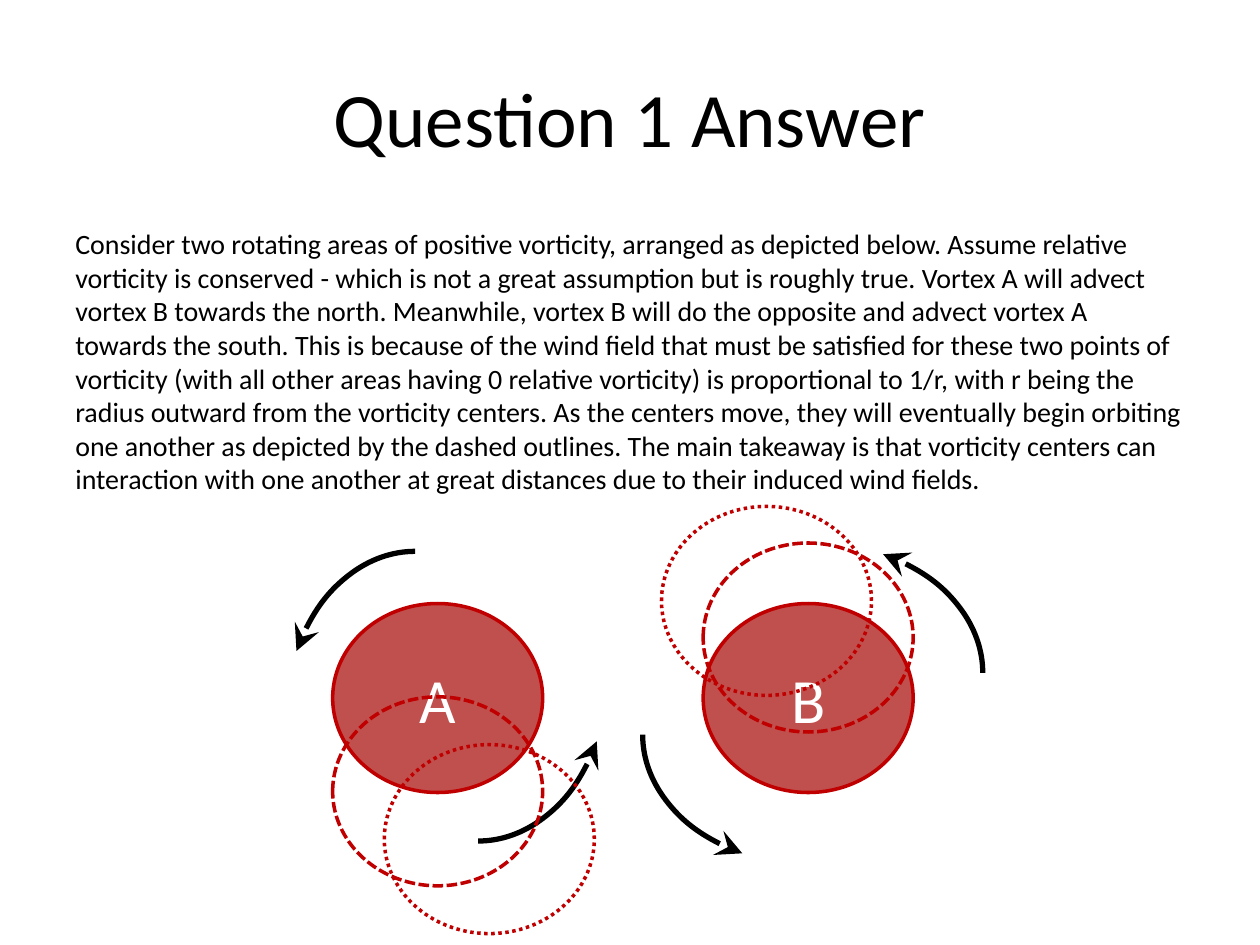
"""Build the slide on how two positive vortices orbit one another."""
import pptx
import pptx.dml.color
import pptx.enum.dml
import pptx.enum.shapes
import pptx.enum.text
import pptx.oxml
import pptx.oxml.ns
import pptx.util

Pt = pptx.util.Pt
RGBColor = pptx.dml.color.RGBColor
Dash = pptx.enum.dml.MSO_LINE
Shape = pptx.enum.shapes.MSO_SHAPE
Align = pptx.enum.text.PP_ALIGN
Anchor = pptx.enum.text.MSO_ANCHOR

BLACK = RGBColor(0x00, 0x00, 0x00)
WHITE = RGBColor(0xFF, 0xFF, 0xFF)
VORTEX_FILL = RGBColor(0xC0, 0x50, 0x4D)
VORTEX_EDGE = RGBColor(0xC0, 0x00, 0x00)

VORTEX_SIZE = (120, 108)
WIND_SIZE = (198, 149.8)
WIND_START = 181.08

EXPLANATION = (
    "Consider two rotating areas of positive vorticity, arranged as depicted below. "
    "Assume relative vorticity is conserved - which is not a great assumption but is "
    "roughly true. Vortex A will advect vortex B towards the north. Meanwhile, vortex B "
    "will do the opposite and advect vortex A towards the south. This is because of the "
    "wind field that must be satisfied for these two points of vorticity (with all other "
    "areas having 0 relative vorticity) is proportional to 1/r, with r being the radius "
    "outward from the vorticity centers. As the centers move, they will eventually begin "
    "orbiting one another as depicted by the dashed outlines. The main takeaway is that "
    "vorticity centers can interaction with one another at great distances due to their "
    "induced wind fields."
)


class VortexSlide:
    """Hold the style and the current slide, and draw each kind of element."""

    font_name = "Calibri"

    def __init__(self, slide):
        self.slide = slide

    def set_words(self, shape, words, size, color, align, anchor):
        """Fill a shape with one formatted paragraph."""
        frame = shape.text_frame
        for name, value in {"word_wrap": True, "vertical_anchor": anchor}.items():
            setattr(frame, name, value)
        paragraph = frame.paragraphs[0]
        paragraph.text = words
        paragraph.alignment = align
        for name, value in {"name": self.font_name, "size": Pt(size)}.items():
            setattr(paragraph.font, name, value)
        paragraph.font.color.rgb = color

    def text(self, words, box, size, align, anchor):
        """Add a text box."""
        holder = self.slide.shapes.add_textbox(*map(Pt, box))
        self.set_words(holder, words, size, BLACK, align, anchor)

    def outline(self, kind, corner, size, color, width):
        """Add an unfilled preset shape."""
        shape = self.slide.shapes.add_shape(kind, *map(Pt, (*corner, *size)))
        shape.shadow.inherit = False
        shape.fill.background()
        shape.line.color.rgb = color
        shape.line.width = Pt(width)
        return shape

    def vortex(self, letter, corner):
        """Add a filled, lettered vortex."""
        vortex = self.outline(Shape.OVAL, corner, VORTEX_SIZE, VORTEX_EDGE, 2)
        vortex.fill.solid()
        vortex.fill.fore_color.rgb = VORTEX_FILL
        self.set_words(vortex, letter, 36, WHITE, Align.CENTER, Anchor.MIDDLE)

    def later_position(self, corner, dash):
        """Add the dashed outline of a vortex that has moved."""
        ring = self.outline(Shape.OVAL, corner, VORTEX_SIZE, VORTEX_EDGE, 2)
        ring.line.dash_style = dash

    def wind(self, corner, rotation):
        """Add a curved wind arrow."""
        arc = self.outline(Shape.ARC, corner, WIND_SIZE, BLACK, 3)
        arc.rotation = rotation
        arc.adjustments[0] = WIND_START
        arc.adjustments[1] = 0
        head = pptx.oxml.parse_xml(
            f'<a:headEnd {pptx.oxml.ns.nsdecls("a")} type="stealth" w="lg" len="lg"/>'
        )
        arc.element.spPr.find(pptx.oxml.ns.qn("a:ln")).append(head)


def main():
    """Draw the slide and save it."""
    deck = pptx.Presentation()
    for name, value in {"slide_width": Pt(720), "slide_height": Pt(540)}.items():
        setattr(deck, name, value)
    page = VortexSlide(deck.slides.add_slide(deck.slide_layouts[6]))

    page.text("Question 1 Answer", (36, 21.6, 648, 90), 44, Align.CENTER, Anchor.MIDDLE)
    page.text(EXPLANATION, (36, 126, 648, 356.4), 16, Align.LEFT, Anchor.TOP)

    vortices = {
        "B": ((401.8, 344.9), {(363.6, 309.6): 0, (367.2, 344.9): 180}),
        "A": ((190.1, 344.9), {(138.2, 339.1): 270, (174.2, 306.7): 90}),
    }
    for letter, (corner, winds) in vortices.items():
        page.vortex(letter, corner)
        for wind_corner, rotation in winds.items():
            page.wind(wind_corner, rotation)

    orbits = [((190.1, 398.2), (219.6, 425.5)), ((401.8, 310.3), (378, 289.4))]
    for orbit in orbits:
        for corner, dash in zip(orbit, (Dash.SQUARE_DOT, Dash.ROUND_DOT)):
            page.later_position(corner, dash)

    deck.save("out.pptx")


if __name__ == "__main__":
    main()
